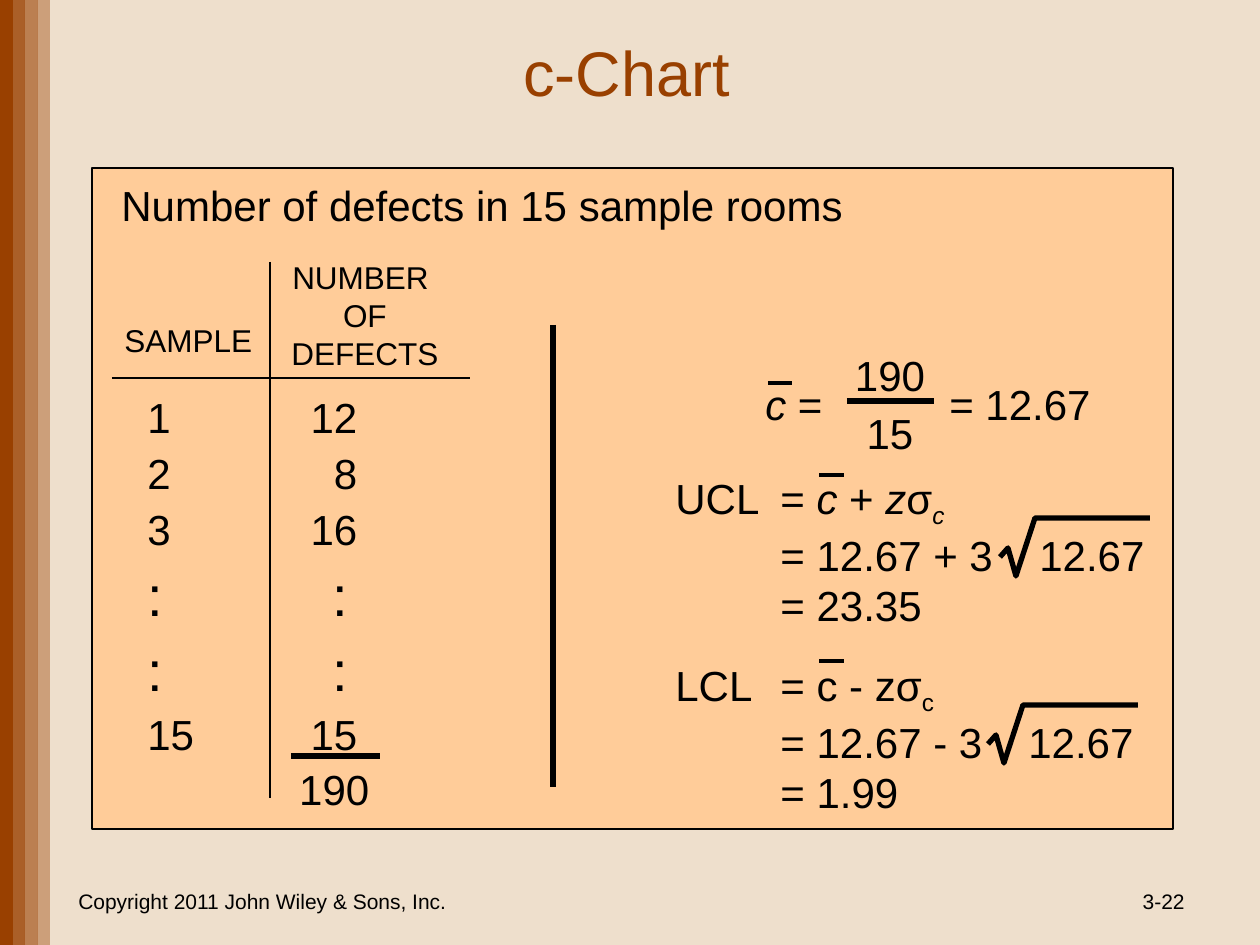
from lxml import etree
from pptx import Presentation
from pptx.dml.color import RGBColor
from pptx.enum.shapes import MSO_CONNECTOR as CONN, MSO_SHAPE as SHAPE
from pptx.enum.text import MSO_ANCHOR as ANCHOR, PP_ALIGN as ALIGN
from pptx.oxml.ns import qn
from pptx.util import Emu, Pt

SCALE = 914400 / 126
COLORS = {k: RGBColor.from_string(v) for k, v in {
    "bg": "EEDFCC", "brown": "994000", "panel": "FFCC99", "ink": "000000"}.items()}


def px(n):
    return Emu(round(n * SCALE))


def text(box, paras, size=24, align=ALIGN.LEFT, anchor=ANCHOR.TOP,
         color="ink", spacing=None):
    tf = s.shapes.add_textbox(*map(px, box)).text_frame
    tf.word_wrap = True
    tf.vertical_anchor = anchor
    for i, (runs, tabs) in enumerate(paras):
        p = tf.paragraphs[0] if i == 0 else tf.add_paragraph()
        if tabs:
            tab_list = etree.SubElement(p._p.get_or_add_pPr(), qn("a:tabLst"))
            for pos, kind in tabs:
                etree.SubElement(tab_list, qn("a:tab"), pos=str(px(pos)), algn=kind)
        p.alignment = align
        if spacing:
            p.line_spacing = spacing
        for content, style in runs:
            r = p.add_run()
            r.text = content
            r.font.name = "Arial"
            r.font.size = Pt(size)
            r.font.color.rgb = COLORS[color]
            r.font.italic = "i" in style
            if "sub" in style:
                r.font._element.set("baseline", "-25000")
    return tf


prs = Presentation()
prs.slide_width, prs.slide_height = px(1260), px(945)
s = prs.slides.add_slide(prs.slide_layouts[6])
s.background.fill.solid()
s.background.fill.fore_color.rgb = COLORS["bg"]

edges = [0, 13, 25, 38, 50]
for left, right, alpha in zip(edges, edges[1:], (100, 80, 60, 40)):
    sp = s.shapes.add_shape(SHAPE.RECTANGLE, px(left), 0, px(right - left), px(945))
    sp.shadow.inherit = False
    sp.fill.solid()
    sp.fill.fore_color.rgb = COLORS["brown"]
    sp.line.fill.background()
    if alpha < 100:
        clr = sp._element.spPr.find(qn("a:solidFill"))[0]
        etree.SubElement(clr, qn("a:alpha"), val=str(alpha * 1000))

panel = s.shapes.add_shape(SHAPE.RECTANGLE, px(92), px(168), px(1081), px(661))
panel.shadow.inherit = False
panel.fill.solid()
panel.fill.fore_color.rgb = COLORS["panel"]
panel.line.color.rgb = COLORS["ink"]
panel.line.width = Pt(0.75)

for box, content, size, align, color in [
    ((118, 24, 1017, 94), "c-Chart", 36, ALIGN.CENTER, "brown"),
    ((63, 876, 399, 50), "Copyright 2011 John Wiley & Sons, Inc.", 12, ALIGN.CENTER, "ink"),
    ((903, 876, 294, 50), "3-22", 12, ALIGN.RIGHT, "ink"),
    ((109, 173, 755, 63), "Number of defects in 15 sample rooms", 24, ALIGN.LEFT, "ink"),
    ((112, 315, 158, 50), "SAMPLE", 18, ALIGN.LEFT, "ink"),
]:
    text(box, [([(content, "")], None)], size, align, ANCHOR.MIDDLE, color)

text((270, 252, 181, 126), [([(t, "")], None) for t in ("NUMBER", " OF", " DEFECTS")],
     18, ALIGN.CENTER)

rows = [("1", "12", 210), ("2", "8", 210), ("3", "16", 210), (":", ":", 201),
        (":", ":", 201), ("15", "15", 210), ("", "190", 222)]
tf = text((135, 391, 480, 429),
          [([(f"{sample}\t{defects}", "")], [(tab, "r")]) for sample, defects, tab in rows],
          spacing=0.9)
for i, p in enumerate(tf.paragraphs):
    size = 32 if rows[i][0] == ":" else 24
    p.runs[0].font.size = Pt(size)
    if i:
        p.space_before = Pt(size / 4)

text((753, 372, 354, 63), [([("c", "i"), (" =\t= 12.67", "")], [(184, "l")])])
text((842, 336, 96, 129), [([(t, "")], None) for t in ("190", "15")],
     align=ALIGN.CENTER, spacing=1.15)

limits = [
    (466, [("UCL\t= ", ""), ("c", "i"), (" + ", ""), ("z", "i"), ("σ", ""), ("c", "i sub")],
     "+", 364, "23.35", 1000),
    (653, [("LCL\t= c - zσ", ""), ("c", "sub")], "-", 353, "1.99", 988),
]
for top, formula, sign, root_tab, result, root_x in limits:
    tabs = [(105, "l"), (root_tab, "l")]
    text((663, top, 499, 165), [
        (formula, tabs),
        ([(f"\t= 12.67 {sign} 3\t12.67", "")], tabs),
        ([(f"\t= {result}", "")], tabs)])
    root_y = top + 91
    fb = s.shapes.build_freeform(root_x, root_y, scale=SCALE)
    fb.add_line_segments([(root_x + dx, root_y + dy) for dx, dy in
                          ((8, -9), (16, 19), (35, -39), (150, -39))], close=False)
    root = fb.convert_to_shape()
    root.shadow.inherit = False
    root.fill.background()
    root.line.color.rgb = COLORS["ink"]
    root.line.width = Pt(3)

for x1, y1, x2, y2, width in [
    (291, 756, 380, 756, 3),
    (847, 401, 934, 401, 3),
    (768, 383, 792, 383, 2.25),
    (819, 475, 844, 475, 2.25),
    (819, 661, 844, 661, 2.25),
    (553, 325, 553, 787, 3),
    (112, 378, 470, 378, 0.75),
    (270, 262, 270, 798, 0.75),
]:
    line = s.shapes.add_connector(CONN.STRAIGHT, px(x1), px(y1), px(x2), px(y2))
    line.line.color.rgb = COLORS["ink"]
    line.line.width = Pt(width)
    etree.SubElement(line._element.spPr, qn("a:effectLst"))

prs.save("out.pptx")
